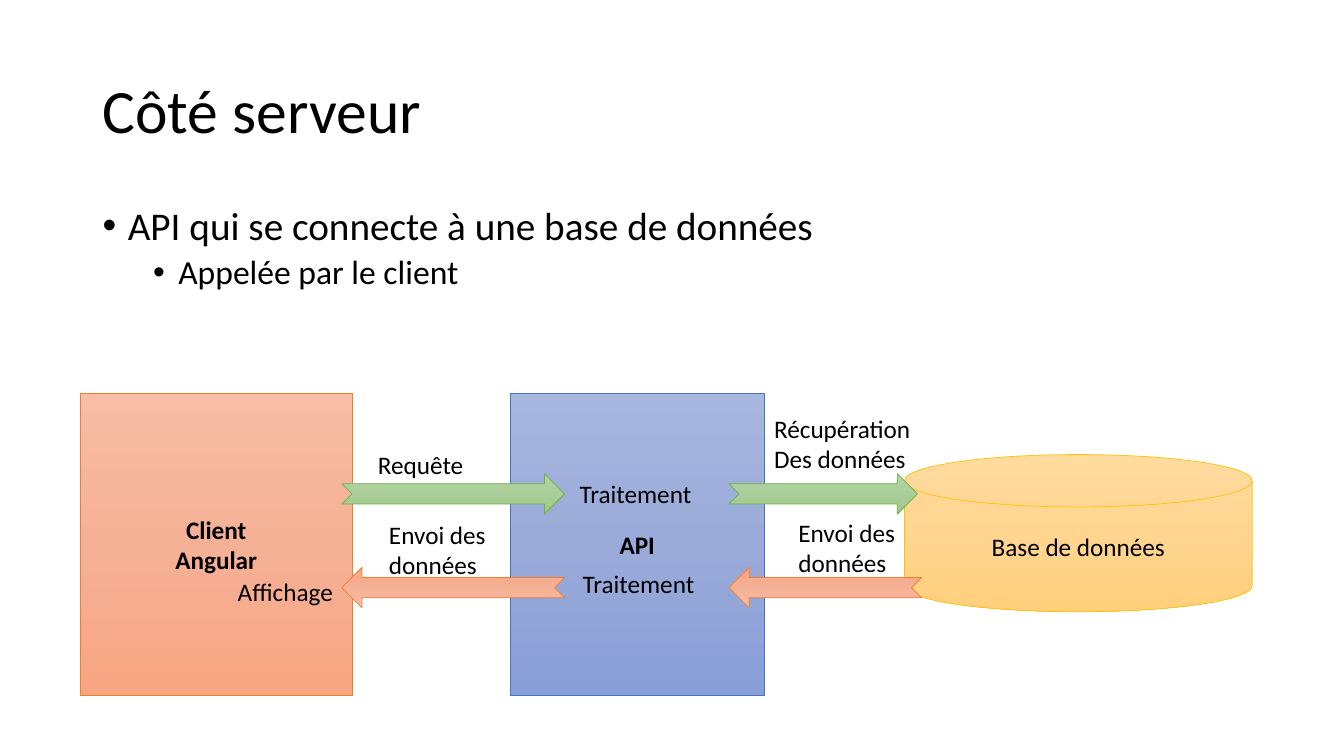
from copy import deepcopy
from dataclasses import dataclass

from lxml import etree
from pptx import Presentation
from pptx import util as u
from pptx.dml.color import RGBColor
from pptx.enum import shapes, text
from pptx.oxml import ns

BLACK = RGBColor(0x00, 0x00, 0x00)
FONT = "Calibri"
SHAPE = shapes.MSO_SHAPE
MIDDLE = text.MSO_ANCHOR.MIDDLE


@dataclass(frozen=True)
class Theme:
    """Gradient from top to bottom, and outline colour."""
    stops: tuple[RGBColor, RGBColor, RGBColor]
    line: RGBColor


@dataclass(frozen=True)
class Node:
    """A filled shape of the diagram; place is left, top, width, height."""
    kind: SHAPE
    place: tuple[float, float, float, float]
    theme: Theme
    lines: tuple[str, ...] = ()
    bold: bool = False
    rotation: int = 0


@dataclass(frozen=True)
class Label:
    """A caption beside an arrow or inside a node."""
    place: tuple[float, float, float, float]
    lines: tuple[str, ...]


@dataclass(frozen=True)
class Bullet:
    """A bulleted line of the body."""
    words: str
    level: int
    size: int
    space_before: int


def theme(line: str, *stops: str) -> Theme:
    """Build a theme from hexadecimal colours."""
    top, middle, bottom = map(RGBColor.from_string, stops)
    return Theme((top, middle, bottom), RGBColor.from_string(line))


ORANGE = theme("ED7D31", "F7BDA5", "F5B196", "F8A582")
BLUE = theme("4472C4", "A8B7DF", "9AABD9", "889ED7")
GOLD = theme("FFC000", "FFDB9E", "FFD590", "FFD07C")
GREEN = theme("70AD47", "B5D5A7", "AACE9A", "9CC987")

REQUEST_TOP, REPLY_TOP, ARROW_HEIGHT = 4.7, 5.63, 0.4
CLIENT_ARROW_LEFT, DATABASE_ARROW_LEFT = 3.39, 7.23


def arrow(left: float, width: float, reply: bool = False) -> Node:
    """Describe a request arrow, or a reply arrow pointing left."""
    top = REPLY_TOP if reply else REQUEST_TOP
    return Node(SHAPE.NOTCHED_RIGHT_ARROW, (left, top, width, ARROW_HEIGHT),
                ORANGE if reply else GREEN, rotation=180 if reply else 0)


NODES = (
    Node(SHAPE.RECTANGLE, (0.8, 3.9, 2.69, 3), ORANGE, ("Client", "Angular"), True),
    Node(SHAPE.RECTANGLE, (5.06, 3.9, 2.52, 3), BLUE, ("API",), True),
    Node(SHAPE.FLOWCHART_MAGNETIC_DISK, (8.97, 4.51, 3.45, 1.56), GOLD,
         ("Base de données",)),
    arrow(CLIENT_ARROW_LEFT, 2.21),
    arrow(DATABASE_ARROW_LEFT, 1.87),
    arrow(DATABASE_ARROW_LEFT, 1.91, reply=True),
    arrow(CLIENT_ARROW_LEFT, 2.21, reply=True),
)

LABELS = (
    Label((3.65, 4.41, 1.06, 0.4), ("Requête",)),
    Label((7.58, 4.05, 1.57, 0.71), ("Récupération", "Des données")),
    Label((7.82, 5.08, 1.17, 0.71), ("Envoi des", "données")),
    Label((3.76, 5.1, 1.17, 0.71), ("Envoi des", "données")),
    Label((5.65, 4.7, 1.32, 0.4), ("Traitement",)),
    Label((5.68, 5.59, 1.32, 0.4), ("Traitement",)),
    Label((2.26, 5.67, 1.16, 0.4), ("Affichage",)),
)

BULLETS = (
    Bullet("API qui se connecte à une base de données", 0, 28, 10),
    Bullet("Appelée par le client", 1, 24, 5),
)


def apply(target, values: dict) -> None:
    """Set every attribute named in values."""
    for name, value in values.items():
        setattr(target, name, value)


def write(box, lines, size: int = 18, bold: bool = False, **layout) -> list:
    """Write one paragraph per line and return the paragraphs."""
    frame = box.text_frame
    frame.text = "\n".join(lines)
    for para in frame.paragraphs:
        apply(para, layout)
        for span in para.runs:
            apply(span.font, {"name": FONT, "size": u.Pt(size), "bold": bold})
            span.font.color.rgb = BLACK
    return list(frame.paragraphs)


def add_box(page, place, **frame_format):
    """Add a text box whose frame has the given format."""
    box = page.shapes.add_textbox(*map(u.Inches, place))
    apply(box.text_frame, frame_format)
    return box


def paint(shape, colours: Theme) -> None:
    """Give a shape its three-stop vertical gradient and its outline."""
    fill = shape.fill
    fill.gradient()
    fill.gradient_angle = 270
    stop_list = shape.element.spPr.find(".//" + ns.qn("a:gsLst"))
    stop_list.insert(1, deepcopy(stop_list[0]))
    for index, (stop, colour) in enumerate(zip(fill.gradient_stops, colours.stops)):
        stop.position = index / 2
        stop.color.rgb = colour
    shape.line.color.rgb = colours.line
    shape.line.width = u.Pt(0.5)


def add_node(page, node: Node) -> None:
    """Draw a filled shape with its centred text."""
    shape = page.shapes.add_shape(node.kind, *map(u.Inches, node.place))
    shape.shadow.inherit = False
    shape.rotation = node.rotation
    paint(shape, node.theme)
    if node.lines:
        apply(shape.text_frame, {"vertical_anchor": MIDDLE, "word_wrap": True})
        write(shape, node.lines, bold=node.bold, alignment=text.PP_ALIGN.CENTER)


def add_label(page, label: Label) -> None:
    """Draw a caption that fits its text without wrapping."""
    box = add_box(page, label.place, word_wrap=False,
                  auto_size=text.MSO_AUTO_SIZE.SHAPE_TO_FIT_TEXT)
    write(box, label.lines)


def add_bullets(page) -> None:
    """Draw the bulleted body."""
    box = add_box(page, (0.92, 2, 11.5, 1.15), word_wrap=True)
    paras = write(box, [bullet.words for bullet in BULLETS], line_spacing=0.9)
    for para, bullet in zip(paras, BULLETS):
        apply(para, {"level": bullet.level, "space_before": u.Pt(bullet.space_before)})
        para.runs[0].font.size = u.Pt(bullet.size)
        properties = para._p.get_or_add_pPr()
        properties.set("marL", str(u.Inches(0.25 + 0.5 * bullet.level)))
        properties.set("indent", str(u.Inches(-0.25)))
        etree.SubElement(properties, ns.qn("a:buFont"), typeface="Arial")
        etree.SubElement(properties, ns.qn("a:buChar"), char="•")


def main() -> None:
    """Build and save the deck."""
    deck = Presentation()
    apply(deck, {"slide_width": u.Inches(13.33), "slide_height": u.Inches(7.5)})
    page = deck.slides.add_slide(deck.slide_layouts[6])
    title = add_box(page, (0.92, 0.4, 11.5, 1.45), word_wrap=True, vertical_anchor=MIDDLE)
    write(title, ["Côté serveur"], size=44, line_spacing=0.9)
    add_bullets(page)
    for node in NODES:
        add_node(page, node)
    for label in LABELS:
        add_label(page, label)
    deck.save("out.pptx")


main()
